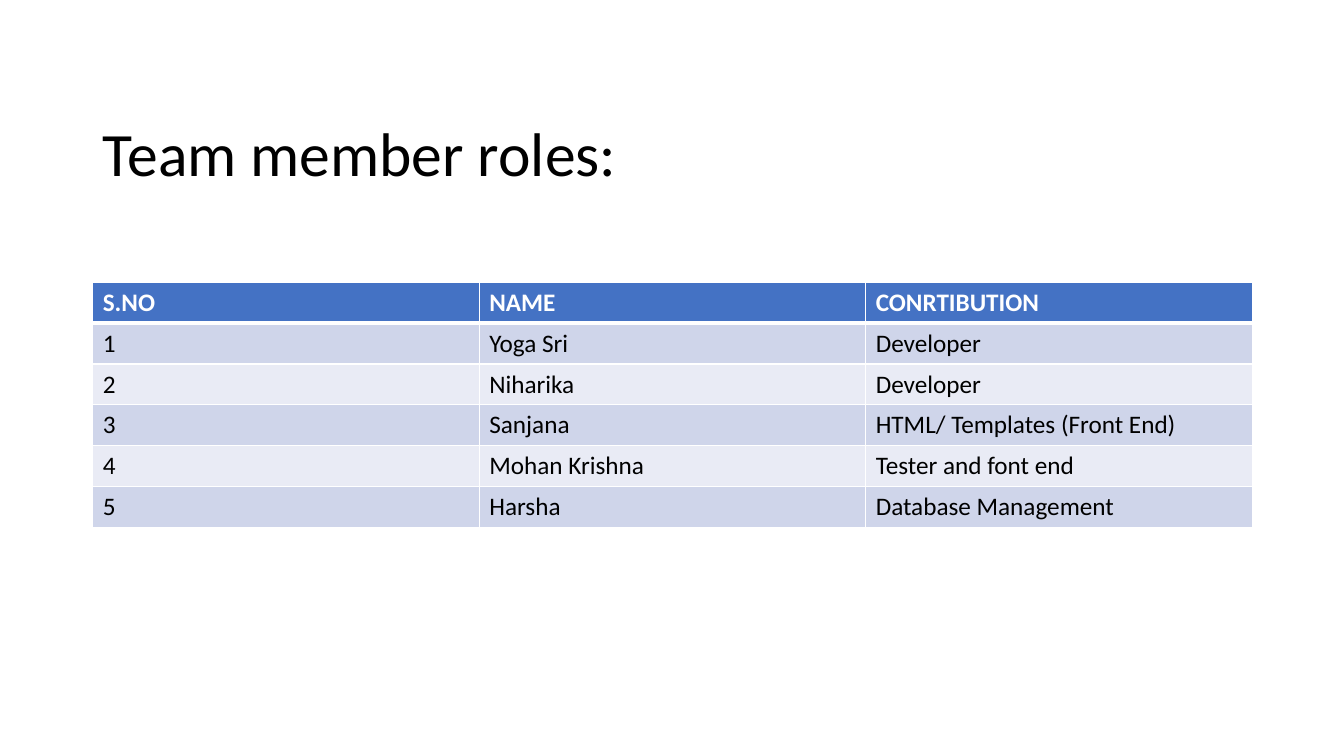
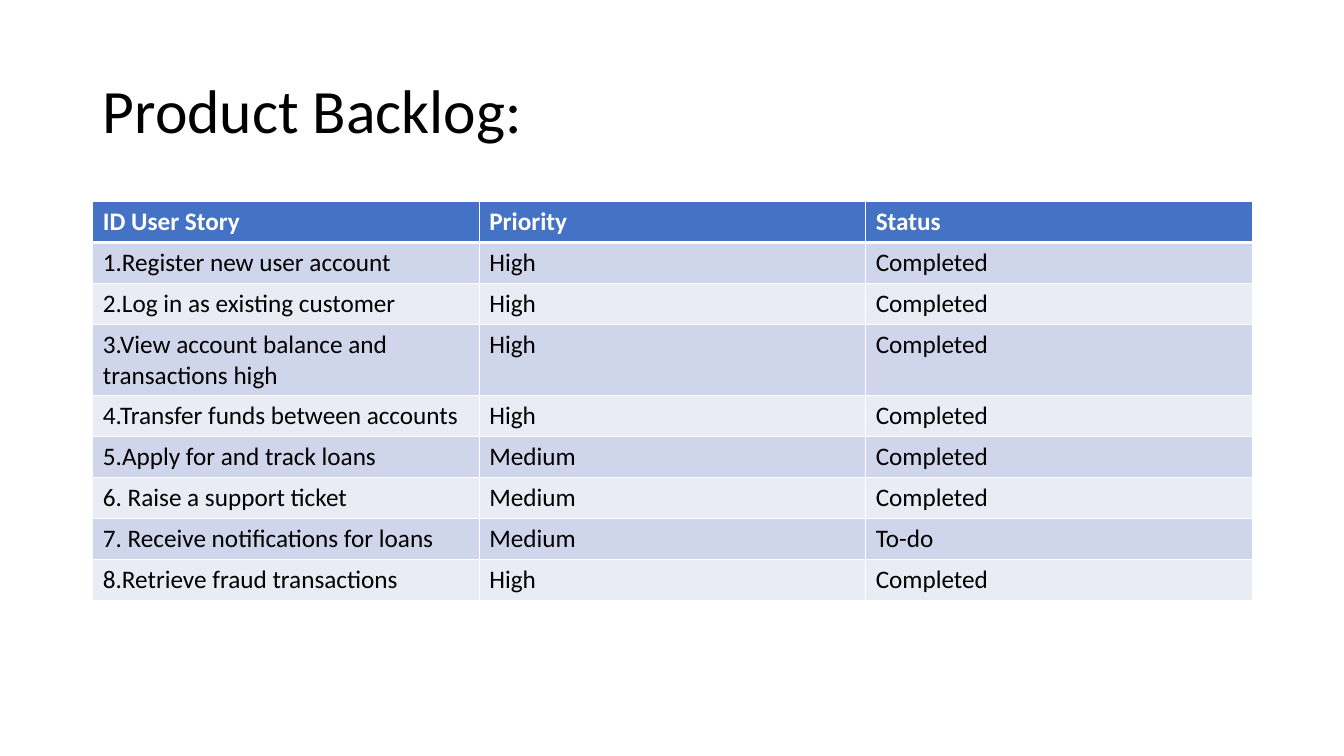
from dataclasses import dataclass

from lxml import etree
from pptx import Presentation
from pptx.dml.color import RGBColor
from pptx.enum.text import MSO_ANCHOR, PP_ALIGN
from pptx.oxml.ns import qn
from pptx.util import Inches, Pt

LEFT = PP_ALIGN.LEFT
MIDDLE = MSO_ANCHOR.MIDDLE
TITLE_ONLY = 5


@dataclass(frozen=True)
class Theme:
    font: str = "Calibri"
    title_size: float = 44
    table_size: float = 18
    text: str = "000000"
    header_text: str = "FFFFFF"
    header_fill: str = "4472C4"
    bands: tuple = ("CFD5EA", "E9EBF5")
    border: str = "FFFFFF"
    thin: float = 1
    thick: float = 3


THEME = Theme()

# Content
SLIDES = [
    {
        "title": "Team member roles:",
        "title_top": 0.83,
        "table_top": 2.8,
        "rows": [
            ("S.NO", "NAME", "CONRTIBUTION"),
            ("1", "Yoga Sri", "Developer"),
            ("2", "Niharika", "Developer"),
            ("3", "Sanjana", "HTML/ Templates (Front End)"),
            ("4", "Mohan Krishna", "Tester and font end"),
            ("5", "Harsha", "Database Management"),
        ],
    },
    {
        "title": "Product Backlog:",
        "title_top": 0.4,
        "table_top": 2,
        "rows": [
            ("ID User Story", "Priority", "Status"),
            ("1.Register new user account", "High", "Completed"),
            ("2.Log in as existing customer", "High", "Completed"),
            ("3.View account balance and transactions high", "High", "Completed"),
            ("4.Transfer funds between accounts", "High", "Completed"),
            ("5.Apply for and track loans", "Medium", "Completed"),
            ("6. Raise a support ticket", "Medium", "Completed"),
            ("7. Receive notifications for loans", "Medium", "To-do"),
            ("8.Retrieve fraud transactions", "High", "Completed"),
        ],
    },
]

# Shared layout
SLIDE_WIDTH, SLIDE_HEIGHT = Inches(13.33), Inches(7.5)
MARGIN = Inches(0.92)
CONTENT_WIDTH = Inches(11.5)
TITLE_HEIGHT = Inches(1.45)
ROW_HEIGHT = Pt(29.2)


def format_text(paragraph, size, color, bold=False):
    paragraph.alignment = LEFT
    for run in paragraph.runs:
        run.font.name = THEME.font
        run.font.size = Pt(size)
        run.font.bold = bold
        run.font.color.rgb = RGBColor.from_string(color)


def set_borders(cell, top, bottom):
    properties = cell._tc.get_or_add_tcPr()
    widths = {"L": THEME.thin, "R": THEME.thin, "T": top, "B": bottom}
    for side, width in widths.items():
        line = etree.SubElement(properties, qn(f"a:ln{side}"), w=str(Pt(width)))
        fill = etree.SubElement(line, qn("a:solidFill"))
        etree.SubElement(fill, qn("a:srgbClr"), val=THEME.border)


def add_title(slide, text, top):
    title = slide.shapes.title
    title.left, title.top = MARGIN, Inches(top)
    title.width, title.height = CONTENT_WIDTH, TITLE_HEIGHT
    title.text_frame.text = text
    title.text_frame.vertical_anchor = MIDDLE
    paragraph = title.text_frame.paragraphs[0]
    paragraph.line_spacing = 0.9
    format_text(paragraph, THEME.title_size, THEME.text)


def add_banded_table(slide, rows, top):
    table = slide.shapes.add_table(
        len(rows), len(rows[0]), MARGIN, Inches(top),
        CONTENT_WIDTH, ROW_HEIGHT * len(rows)).table
    for row_index, values in enumerate(rows):
        is_header = row_index == 0
        # The thick rule is shared by the header and the first row below it
        top_width = THEME.thick if row_index == 1 else THEME.thin
        bottom_width = THEME.thick if is_header else THEME.thin
        band = THEME.bands[(row_index - 1) % len(THEME.bands)]
        fill = THEME.header_fill if is_header else band
        color = THEME.header_text if is_header else THEME.text
        for column_index, value in enumerate(values):
            cell = table.cell(row_index, column_index)
            cell.text_frame.text = value
            format_text(cell.text_frame.paragraphs[0], THEME.table_size, color, is_header)
            set_borders(cell, top_width, bottom_width)
            cell.fill.solid()
            cell.fill.fore_color.rgb = RGBColor.from_string(fill)


def main():
    presentation = Presentation()
    presentation.slide_width, presentation.slide_height = SLIDE_WIDTH, SLIDE_HEIGHT
    for content in SLIDES:
        slide = presentation.slides.add_slide(presentation.slide_layouts[TITLE_ONLY])
        add_title(slide, content["title"], content["title_top"])
        add_banded_table(slide, content["rows"], content["table_top"])
    presentation.save("out.pptx")


if __name__ == "__main__":
    main()
